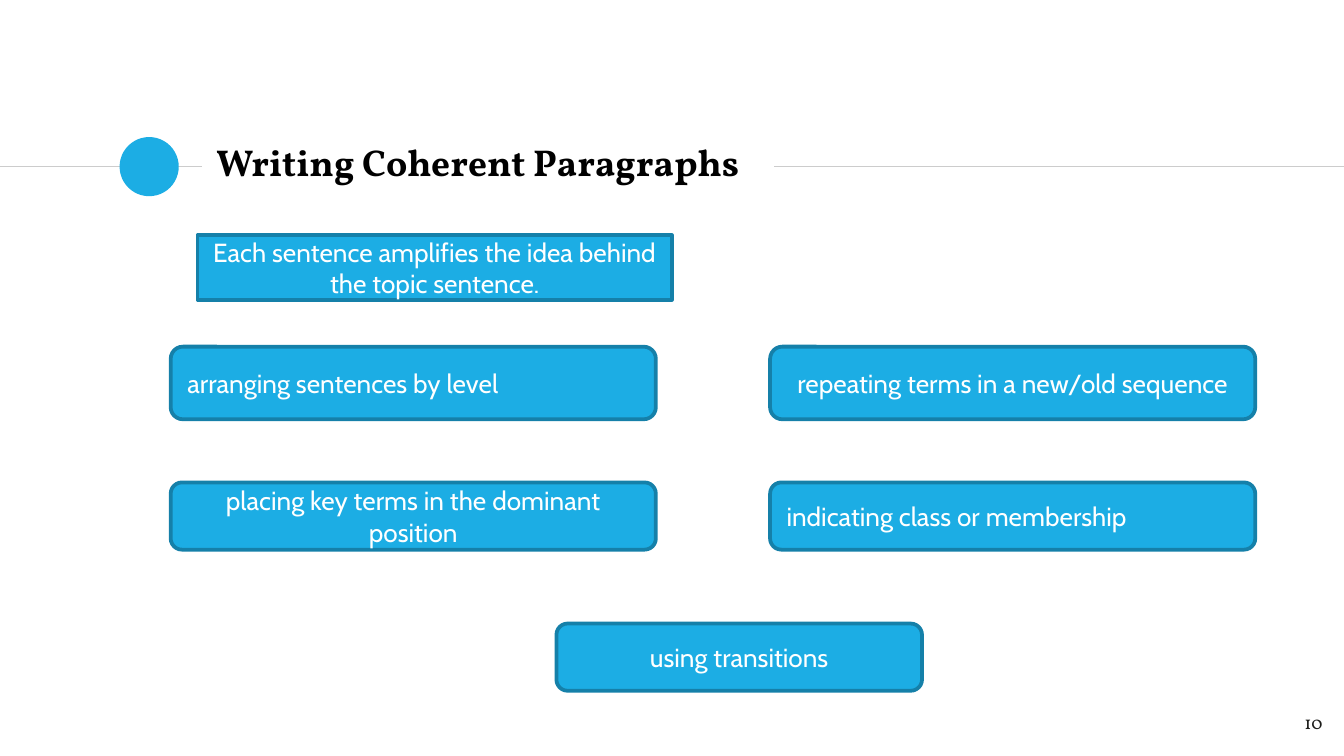
from dataclasses import dataclass

import pptx
import pptx.dml.color
import pptx.enum.shapes
import pptx.enum.text
import pptx.oxml.ns
import pptx.util
from lxml import etree

Inches = pptx.util.Inches
Pt = pptx.util.Pt
Shape = pptx.enum.shapes.MSO_SHAPE
Align = pptx.enum.text.PP_ALIGN
Anchor = pptx.enum.text.MSO_ANCHOR


@dataclass(frozen=True)
class Theme:
    """Colours, fonts and type sizes of the slide."""
    accent: str = "1CADE4"
    outline: str = "1580A9"
    rule: str = "CCCCCC"
    title: str = "000000"
    number: str = "1D1D1B"
    on_accent: str = "FFFFFF"
    heading_font: str = "Vollkorn"
    body_font: str = "Cabin"
    title_size: int = 20
    body_size: int = 14
    number_size: int = 10
    rule_width: float = 0.75
    outline_width: float = 2


THEME = Theme()


def rgb(value):
    """Turn a hex string into a colour."""
    return pptx.dml.color.RGBColor.from_string(value)


def place(part, left, top, width, height):
    """Move and size a part, in inches."""
    part.left, part.top = Inches(left), Inches(top)
    part.width, part.height = Inches(width), Inches(height)


def write(frame, text, font, size, color, align, anchor,
          inset=0.1, bold=False, spacing=1.0):
    """Write one run of formatted text into a frame."""
    frame.word_wrap = True
    frame.auto_size = pptx.enum.text.MSO_AUTO_SIZE.NONE
    frame.vertical_anchor = anchor
    frame.margin_left = frame.margin_right = Inches(0.1)
    frame.margin_top = frame.margin_bottom = Inches(inset)
    paragraph = frame.paragraphs[0]
    paragraph.alignment = align
    paragraph.line_spacing = spacing
    paragraph.space_before = Pt(0)
    run = paragraph.add_run()
    run.text = text
    run.font.name, run.font.size, run.font.bold = font, Pt(size), bold
    run.font.color.rgb = rgb(color)


def add_rule(slide, start, end, y):
    """Draw a thin horizontal rule."""
    rule = slide.shapes.add_connector(
        pptx.enum.shapes.MSO_CONNECTOR.STRAIGHT,
        Inches(start), Inches(y), Inches(end), Inches(y))
    rule.line.color.rgb = rgb(THEME.rule)
    rule.line.width = Pt(THEME.rule_width)
    etree.SubElement(rule._element.spPr, pptx.oxml.ns.qn("a:effectLst"))


def add_filled(slide, kind, left, top, width, height):
    """Add a flat shape in the accent colour, without an outline."""
    shape = slide.shapes.add_shape(
        kind, Inches(left), Inches(top), Inches(width), Inches(height))
    shape.shadow.inherit = False
    shape.fill.solid()
    shape.fill.fore_color.rgb = rgb(THEME.accent)
    shape.line.fill.background()
    return shape


def add_card(slide, kind, text, align, left, top, width, height):
    """Add an outlined card with a statement."""
    card = add_filled(slide, kind, left, top, width, height)
    card.line.color.rgb = rgb(THEME.outline)
    card.line.width = Pt(THEME.outline_width)
    write(card.text_frame, text, THEME.body_font, THEME.body_size,
          THEME.on_accent, align, Anchor.MIDDLE, inset=0.05)


def add_header(slide, text, left, top, width, height):
    """Place the title between two rules, with a dot before it."""
    middle = top + height / 2
    dot = 0.44
    add_rule(slide, left, left + 1.5, middle)
    add_filled(slide, Shape.OVAL, left + 0.89, middle - dot / 2, dot, dot)
    add_rule(slide, left + 5.76, left + width, middle)
    title = slide.shapes.title
    place(title, left + 1.51, top - 0.04, 4.24, 0.48)
    write(title.text_frame, text, THEME.heading_font, THEME.title_size,
          THEME.title, Align.LEFT, Anchor.MIDDLE, bold=True, spacing=0.9)


def add_techniques(slide, rows, closing, left, top, width, height):
    """Lay techniques out in two columns, with a closing card below."""
    card_width, closing_width = 3.61, 2.72
    column_step = width - card_width
    for row_top, card_height, techniques in rows:
        for column, (text, align) in enumerate(techniques):
            add_card(slide, Shape.ROUNDED_RECTANGLE, text, align,
                     left + column * column_step, top + row_top,
                     card_width, card_height)
    closing_height = 0.5
    add_card(slide, Shape.ROUNDED_RECTANGLE, closing, Align.CENTER,
             left + 2.87, top + height - closing_height,
             closing_width, closing_height)


def add_page_number(slide, number, left, top, width, height):
    """Place the page number at the right of its box."""
    box = slide.shapes.add_textbox(
        Inches(left), Inches(top), Inches(width), Inches(height))
    write(box.text_frame, number, THEME.heading_font, THEME.number_size,
          THEME.number, Align.RIGHT, Anchor.TOP)


def main():
    """Build and save the slide."""
    deck = pptx.Presentation()
    deck.slide_width = Inches(10)
    deck.slide_height = deck.slide_width * 9 // 16
    slide = deck.slides.add_slide(deck.slide_layouts[5])
    add_header(slide, "Writing Coherent Paragraphs", 0, 1.02, 10, 0.44)
    add_page_number(slide, "10", 9.34, 5.19, 0.6, 0.43)
    add_card(slide, Shape.RECTANGLE,
             "Each sentence amplifies the idea behind the topic sentence.",
             Align.CENTER, 1.47, 1.75, 3.53, 0.48)
    rows = [
        (0, 0.54, [("arranging sentences by level", Align.LEFT),
                   ("repeating terms in a new/old sequence", Align.CENTER)]),
        (1.01, 0.5, [("placing key terms in the dominant position", Align.CENTER),
                     ("indicating class or membership", Align.LEFT)]),
    ]
    add_techniques(slide, rows, "using transitions", 1.27, 2.58, 8.07, 2.56)
    deck.save("out.pptx")


if __name__ == "__main__":
    main()
